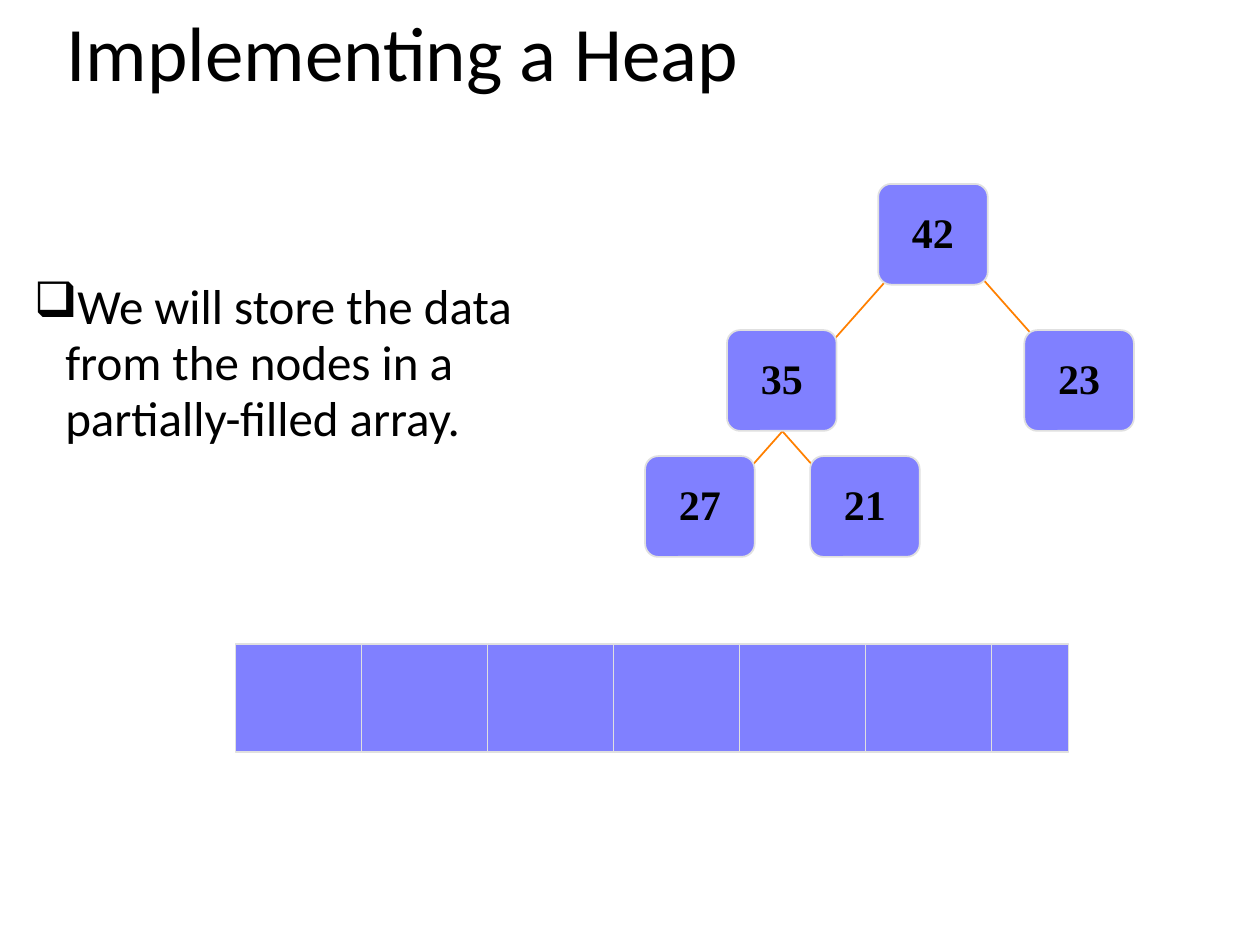
from pptx import Presentation, util as u
from pptx.dml.color import RGBColor
from pptx.enum import shapes as sh, text as tx
from pptx.oxml.ns import qn
from lxml import etree

TITLE = "Implementing a Heap"
BODY = "We will store the data from the nodes in a partially-filled array."
NODES = {"21": (6.43, 3.62), "27": (5.12, 3.62), "23": (8.13, 2.62),
         "42": (6.97, 1.46), "35": (5.77, 2.62)}
EDGES = [("21", 0.22, 0.3, 1), ("27", 0.65, 0.3, -1),
         ("23", 0.25, 0.25, 1), ("35", 0.65, 0.3, -1)]
NODE = (0.87, 0.8)
STEP = (0.62, 0.7)
ARRAY = (1.87, 5.11, 6.61, 0.86)
SLOTS = 7
THEME = {"fill": "8080FF", "rim": "E0E0E0", "edge": "FF8000", "ink": "000000",
         "sans": "Calibri", "serif": "Times New Roman",
         "title": 44, "body": 28, "node": 24, "line": 1}


def color(key):
    return RGBColor.from_string(THEME[key])


def write(shape, words, font="sans", size="body", bold=False, mid=False, bullet=None):
    frame = shape.text_frame
    frame.word_wrap = True
    frame.vertical_anchor = tx.MSO_ANCHOR.MIDDLE if mid else tx.MSO_ANCHOR.TOP
    para = frame.paragraphs[0]
    para.alignment = tx.PP_ALIGN.CENTER if mid else tx.PP_ALIGN.LEFT
    para.line_spacing = 0.95
    if bullet:
        props = para._p.get_or_add_pPr()
        props.set("marL", str(u.Inches(0.25)))
        props.set("indent", str(u.Inches(-0.25)))
        etree.SubElement(props, qn("a:buChar")).set("char", bullet)
    run = para.add_run()
    run.text = words
    run.font.name = THEME[font]
    run.font.size = u.Pt(THEME[size])
    run.font.bold = bold
    run.font.color.rgb = color("ink")


def label(slide, box, words, **form):
    write(slide.shapes.add_textbox(*map(u.Inches, box)), words, **form)


def block(slide, box, round):
    shape = slide.shapes.add_shape(sh.MSO_SHAPE.ROUNDED_RECTANGLE, *map(u.Inches, box))
    shape.adjustments[0] = round
    shape.shadow.inherit = False
    shape.fill.solid()
    shape.fill.fore_color.rgb = color("fill")
    shape.line.color.rgb = color("rim")
    shape.line.width = u.Pt(THEME["line"])
    return shape


def line(slide, ends, key):
    rule = slide.shapes.add_connector(sh.MSO_CONNECTOR.STRAIGHT, *map(u.Inches, ends))
    rule.line.color.rgb = color(key)
    rule.line.width = u.Pt(THEME["line"])
    etree.SubElement(rule._element.spPr, qn("a:effectLst"))


def main():
    deck = Presentation()
    deck.slide_width, deck.slide_height = u.Inches(10), u.Inches(7.5)
    slide = deck.slides.add_slide(deck.slide_layouts[6])

    label(slide, (0.43, 0.04, 8.5, 1.25), TITLE, size="title")
    label(slide, (0.17, 2.17, 4.17, 4.5), BODY, bullet="❑")

    block(slide, ARRAY, 0)
    left, top, _, high = ARRAY
    for slot in range(1, SLOTS):
        line(slide, (left + slot, top, left + slot, top + high), "rim")

    for child, dx, dy, side in EDGES:
        x, y = NODES[child][0] + dx, NODES[child][1] + dy
        line(slide, (x - side * STEP[0], y - STEP[1], x, y), "edge")
    for name, spot in NODES.items():
        write(block(slide, spot + NODE, 0.13), name,
              font="serif", size="node", bold=True, mid=True)

    deck.save("out.pptx")


if __name__ == "__main__":
    main()
